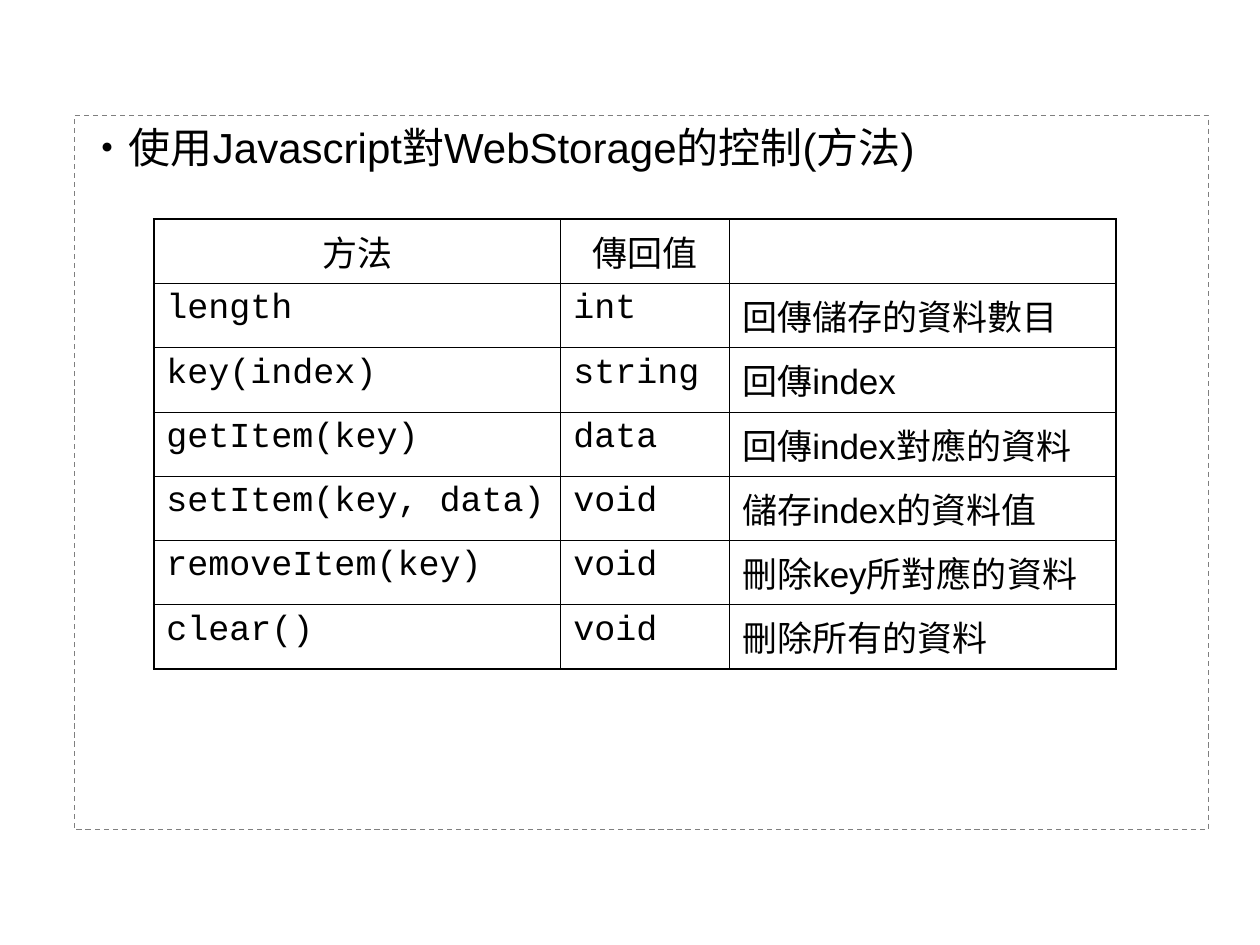
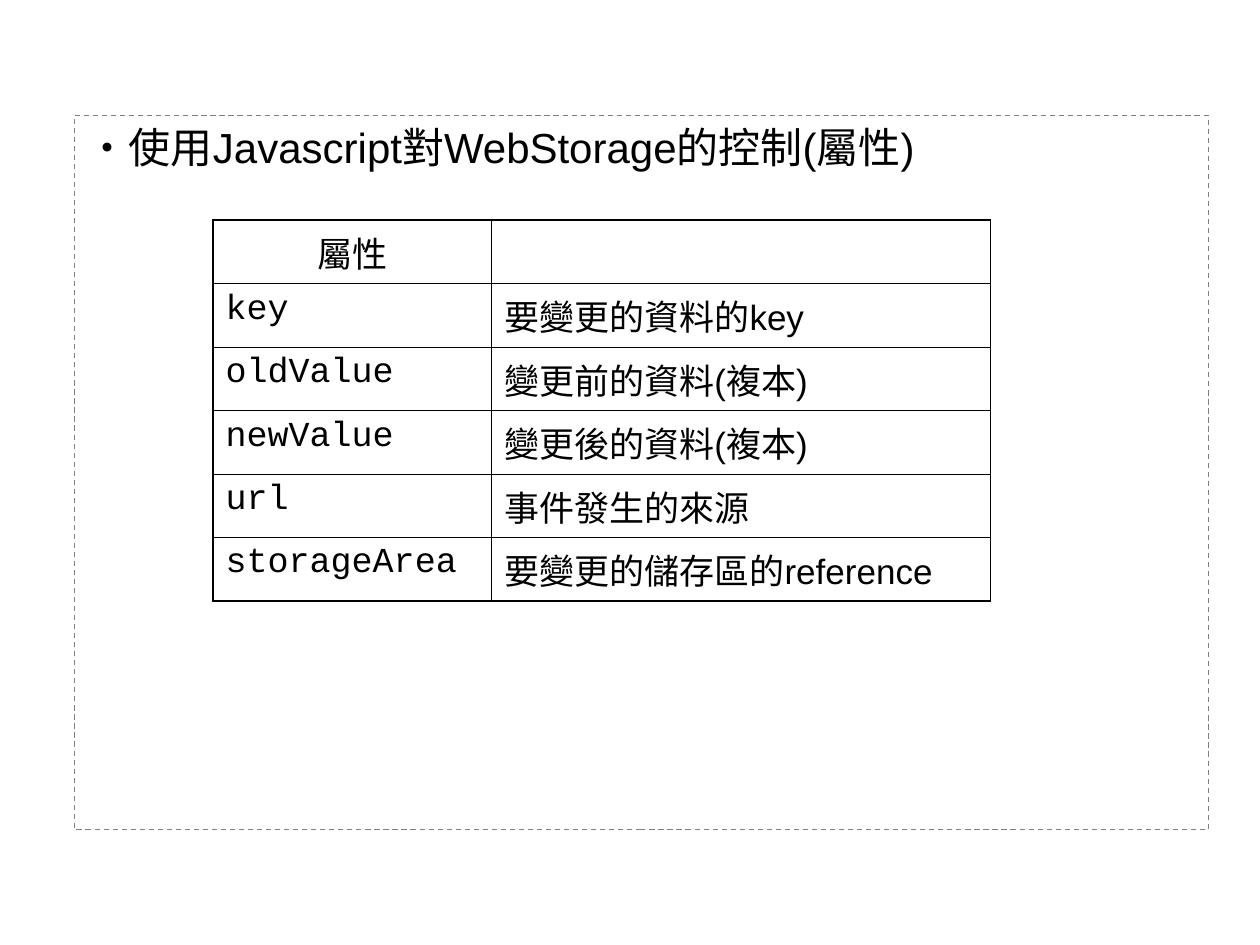
import pptx
import pptx.util
import pptx.dml.color
import pptx.enum.dml
import pptx.enum.text
import pptx.oxml
import pptx.oxml.ns

BLACK = pptx.dml.color.RGBColor(0x00, 0x00, 0x00)
GRAY = pptx.dml.color.RGBColor(0x7F, 0x7F, 0x7F)
WIDTH = pptx.util.Inches(10)
HEIGHT = pptx.util.Inches(7.5)
BODY_FONT = "Arial"
CODE_FONT = "Courier New"
OUTER, INNER = pptx.util.Pt(1.08), pptx.util.Pt(0.45)
LEFT_ALIGN = pptx.enum.text.PP_ALIGN.LEFT
CENTER_ALIGN = pptx.enum.text.PP_ALIGN.CENTER

PAGES = [
    {
        "topic": "方法",
        "left": 0.122,
        "top": 0.232,
        "columns": [0.323, 0.134, 0.307],
        "row": 0.068,
        "rows": [
            ["方法", "傳回值", ""],
            ["length", "int", "回傳儲存的資料數目"],
            ["key(index)", "string", "回傳index"],
            ["getItem(key)", "data", "回傳index對應的資料"],
            ["setItem(key, data)", "void", "儲存index的資料值"],
            ["removeItem(key)", "void", "刪除key所對應的資料"],
            ["clear()", "void", "刪除所有的資料"],
        ],
    },
    {
        "topic": "屬性",
        "left": 0.169,
        "top": 0.233,
        "columns": [0.221, 0.396],
        "row": 0.067,
        "rows": [
            ["屬性", ""],
            ["key", "要變更的資料的key"],
            ["oldValue", "變更前的資料(複本)"],
            ["newValue", "變更後的資料(複本)"],
            ["url", "事件發生的來源"],
            ["storageArea", "要變更的儲存區的reference"],
        ],
    },
]


def write(para, text, align, **font_values):
    para.alignment = align
    span = para.add_run()
    span.text = text
    span.font.color.rgb = BLACK
    for name, value in font_values.items():
        setattr(span.font, name, value)


def draw_borders(cell, widths):
    properties = cell._tc.get_or_add_tcPr()
    for position, (side, width) in enumerate(widths.items()):
        border = pptx.oxml.parse_xml(
            f'<a:ln{side} {pptx.oxml.ns.nsdecls("a")} w="{int(width)}">'
            f'<a:solidFill><a:srgbClr val="{BLACK}"/></a:solidFill></a:ln{side}>'
        )
        properties.insert(position, border)


deck = pptx.Presentation()
deck.slide_width, deck.slide_height = WIDTH, HEIGHT

for content in PAGES:
    page = deck.slides.add_slide(deck.slide_layouts[5])
    heading = page.shapes.title
    place = {
        "left": int(WIDTH * 0.059),
        "top": int(HEIGHT * 0.122),
        "width": int(WIDTH * 0.9),
        "height": int(HEIGHT * 0.756),
    }
    for name, value in place.items():
        setattr(heading, name, value)
    outline = {
        "width": pptx.util.Pt(0.75),
        "dash_style": pptx.enum.dml.MSO_LINE.DASH,
    }
    heading.line.color.rgb = GRAY
    for name, value in outline.items():
        setattr(heading.line, name, value)
    frame = heading.text_frame
    frame_format = {
        "word_wrap": True,
        "auto_size": pptx.enum.text.MSO_AUTO_SIZE.NONE,
        "vertical_anchor": pptx.enum.text.MSO_ANCHOR.TOP,
    }
    for name, value in frame_format.items():
        setattr(frame, name, value)
    write(
        frame.paragraphs[0],
        f"‧使用Javascript對WebStorage的控制({content['topic']})",
        LEFT_ALIGN,
        name=BODY_FONT,
        size=pptx.util.Pt(24),
    )

    rows, columns = content["rows"], content["columns"]
    row_height = int(HEIGHT * content["row"])
    table = page.shapes.add_table(
        len(rows),
        len(columns),
        int(WIDTH * content["left"]),
        int(HEIGHT * content["top"]),
        int(WIDTH * sum(columns)),
        row_height * len(rows),
    ).table
    table.first_row = False
    table.horz_banding = False
    for column, share in zip(table.columns, columns):
        column.width = int(WIDTH * share)

    last_row, last_column = len(rows) - 1, len(columns) - 1
    for row_index, row in enumerate(rows):
        table.rows[row_index].height = row_height
        for column_index, text in enumerate(row):
            cell = table.cell(row_index, column_index)
            cell.fill.background()
            draw_borders(cell, {
                "L": OUTER if column_index == 0 else INNER,
                "R": OUTER if column_index == last_column else INNER,
                "T": OUTER if row_index == 0 else INNER,
                "B": OUTER if row_index == last_row else INNER,
            })
            if text:
                is_code = row_index > 0 and column_index < last_column
                write(
                    cell.text_frame.paragraphs[0],
                    text,
                    LEFT_ALIGN if row_index else CENTER_ALIGN,
                    name=CODE_FONT if is_code else BODY_FONT,
                    size=pptx.util.Pt(20),
                )

deck.save("out.pptx")
